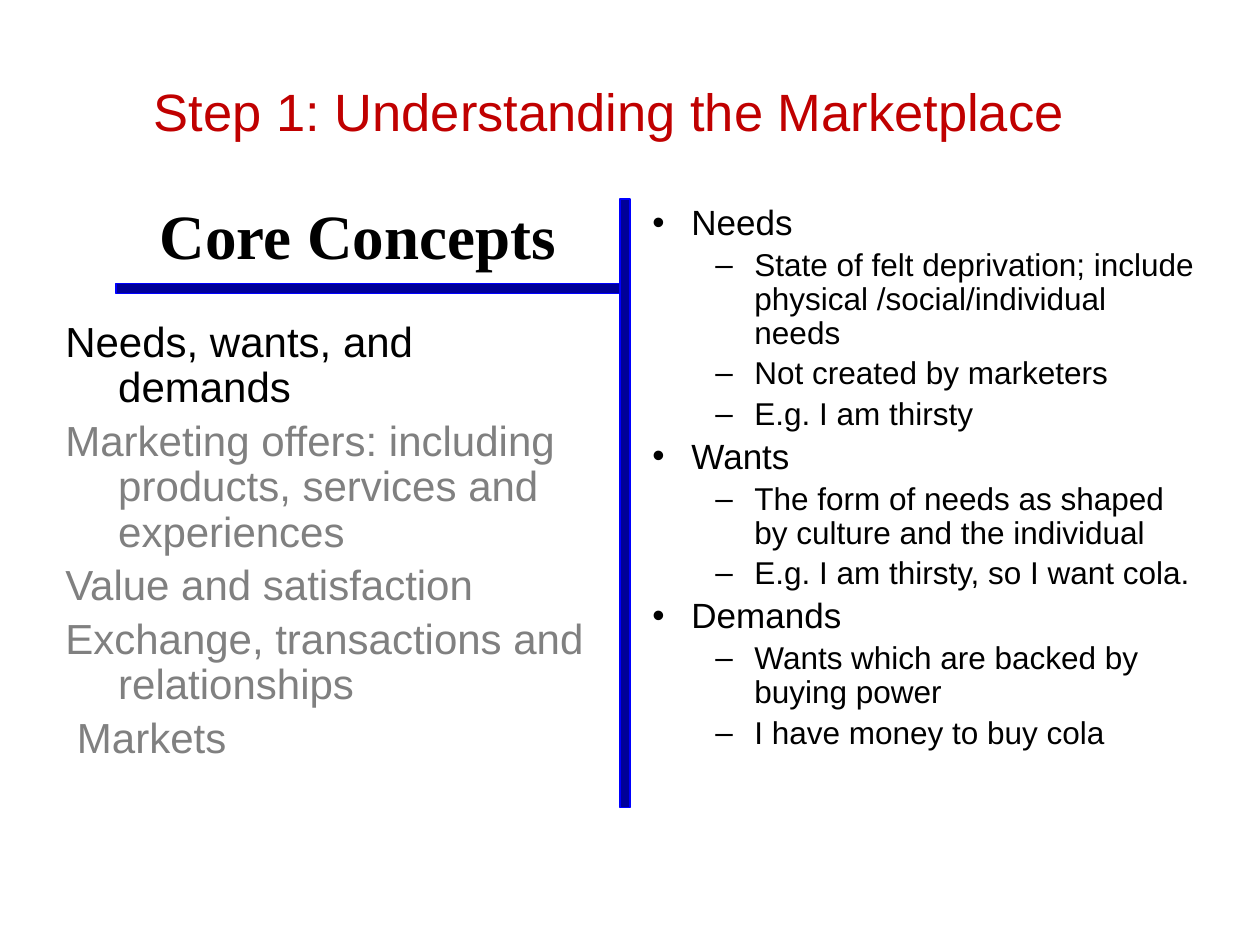
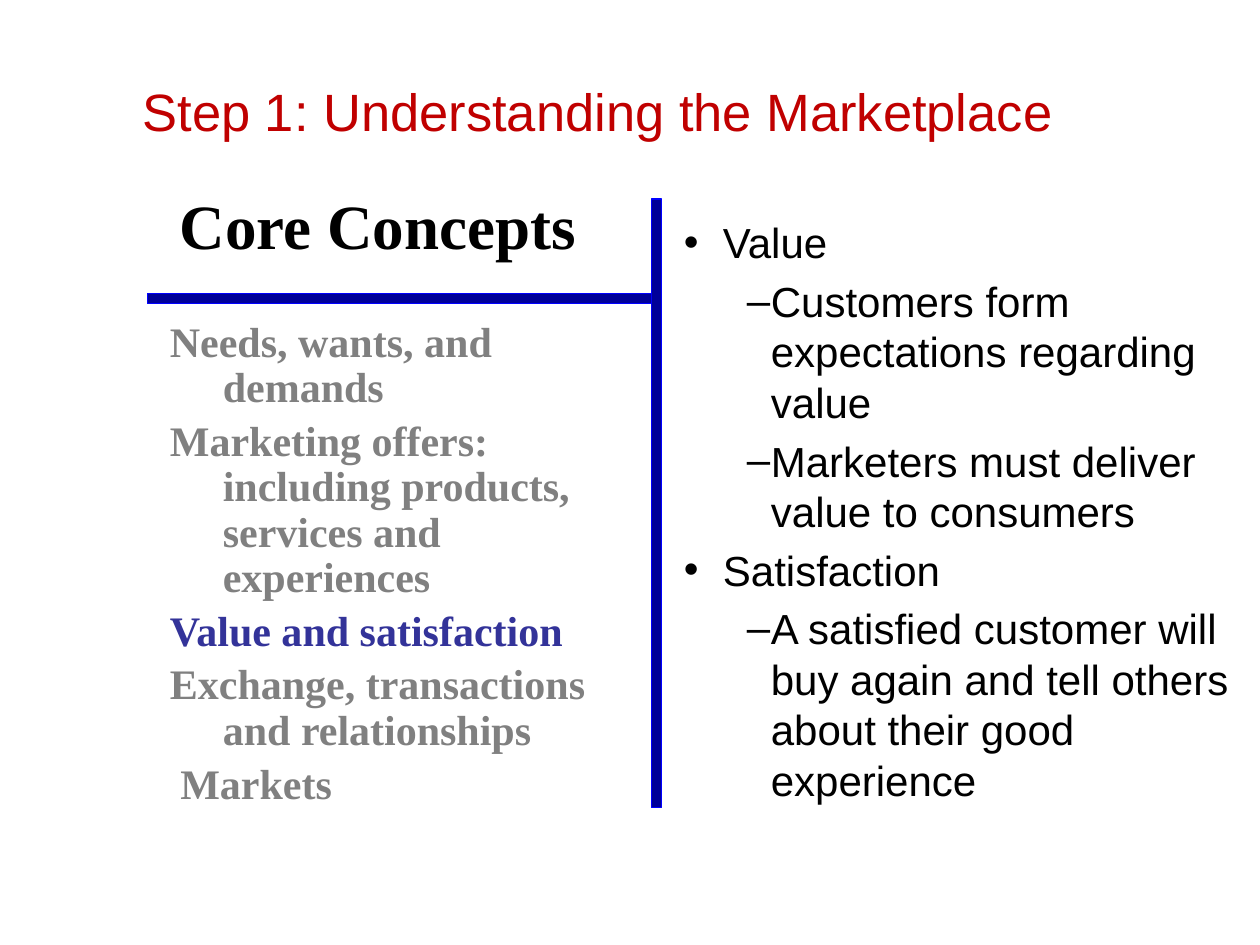
from lxml.etree import SubElement
from pptx import Presentation
from pptx.dml.color import RGBColor
from pptx.enum.shapes import MSO_SHAPE
from pptx.enum.text import MSO_ANCHOR, MSO_AUTO_SIZE, PP_ALIGN
from pptx.oxml.ns import qn
from pptx.util import Inches, Pt

COLORS = {
    "title": "C00000",
    "text": "000000",
    "muted": "808080",
    "highlight": "333399",
    "bar": "000099",
    "bar_edge": "0000FF",
}
SANS, SERIF = "Arial", "Times New Roman"
BAR = 0.08
BULLETS = "•–"
CONCEPTS = [
    "Needs, wants, and demands",
    "Marketing offers: including products, services and experiences",
    "Value and satisfaction",
    "Exchange, transactions and relationships",
    " Markets",
]
NEEDS_WANTS_DEMANDS = [
    (0, "Needs"),
    (1, "State of felt deprivation; include physical /social/individual needs"),
    (1, "Not created by marketers"),
    (1, "E.g. I am thirsty"),
    (0, "Wants"),
    (1, "The form of needs as shaped by culture and the individual"),
    (1, "E.g. I am thirsty, so I want cola."),
    (0, "Demands"),
    (1, "Wants which are backed by buying power"),
    (1, "I have money to buy cola"),
]
VALUE_SATISFACTION = [
    (0, "Value"),
    (1, "Customers form expectations regarding value"),
    (1, "Marketers must deliver value to consumers"),
    (0, "Satisfaction"),
    (1, "A satisfied customer will buy again and tell others about their good experience"),
]


class ConceptDeck:
    """Builds the core concept slides in one shared style."""

    def __init__(self):
        self.deck = Presentation()
        self.deck.slide_width, self.deck.slide_height = Inches(10), Inches(7.5)
        self.page = None

    def add_page(self):
        self.page = self.deck.slides.add_slide(self.deck.slide_layouts[6])

    def frame(self, left, top, width, height):
        box = self.page.shapes.add_textbox(
            Inches(left), Inches(top), Inches(width), Inches(height))
        box.text_frame.word_wrap = True
        return box.text_frame

    def paragraph(self, frame, text, size, color="text", font=SANS, bold=False,
                  spacing=None, before=0.2, margin=0, hanging=0):
        para = frame.paragraphs[0]
        if para.runs:
            para = frame.add_paragraph()
        para.line_spacing = spacing
        para.space_before = Pt(size * before)
        properties = para._p.get_or_add_pPr()
        properties.set("marL", str(Inches(margin)))
        properties.set("indent", str(-Inches(hanging)))
        span = para.add_run()
        span.text = text
        span.font.size, span.font.name, span.font.bold = Pt(size), font, bold
        span.font.color.rgb = RGBColor.from_string(COLORS[color])
        return para

    def title(self, left):
        frame = self.frame(left, 0.25, 7.83, 1.25)
        frame.vertical_anchor = MSO_ANCHOR.MIDDLE
        para = self.paragraph(frame, "Step 1: Understanding the Marketplace", 30,
                              "title", before=0)
        para.alignment = PP_ALIGN.CENTER

    def heading(self, left, top):
        frame = self.frame(left, top, 3.35, 0.64)
        frame.word_wrap = False
        frame.auto_size = MSO_AUTO_SIZE.SHAPE_TO_FIT_TEXT
        self.paragraph(frame, "Core Concepts", 36, font=SERIF, bold=True,
                       spacing=0.9, before=0.3)

    def bar(self, left, top, width, height):
        shape = self.page.shapes.add_shape(
            MSO_SHAPE.RECTANGLE,
            Inches(left), Inches(top), Inches(width), Inches(height))
        shape.shadow.inherit = False
        shape.fill.solid()
        shape.fill.fore_color.rgb = RGBColor.from_string(COLORS["bar"])
        shape.line.color.rgb = RGBColor.from_string(COLORS["bar_edge"])
        shape.line.width = Pt(0.75)

    def divider(self, left, rule_top):
        self.bar(left, 1.58, BAR, 4.83)
        self.bar(left - 4, rule_top, 4, BAR)

    def concepts(self, left, width, active, active_color, font, bold):
        frame = self.frame(left, 2.5, width, 3.67)
        for index, concept in enumerate(CONCEPTS):
            color = active_color if index == active else "muted"
            self.paragraph(frame, concept, 24, color, font, bold, spacing=0.9,
                           margin=0.42, hanging=0.42)

    def details(self, area, items, sizes, indents, spacing=None):
        frame = self.frame(*area)
        for level, text in items:
            margin, hanging = indents[level]
            para = self.paragraph(frame, text, sizes[level], spacing=spacing,
                                  margin=margin, hanging=hanging)
            para.level = level
            properties = para._p.get_or_add_pPr()
            SubElement(properties, qn("a:buFont"), typeface=SANS)
            SubElement(properties, qn("a:buChar"), char=BULLETS[level])


def main():
    show = ConceptDeck()

    show.add_page()
    show.title(0.92)
    show.concepts(0.42, 4.36, 0, "text", SANS, False)
    show.details((5.08, 1.58, 4.54, 5.33), NEEDS_WANTS_DEMANDS, (20, 18),
                 ((0.31, 0.31), (0.81, 0.31)), spacing=0.9)
    show.heading(1.17, 1.58)
    show.divider(4.92, 2.25)

    show.add_page()
    show.details((5.33, 1.67, 4.67, 5.25), VALUE_SATISFACTION, (24, 24),
                 ((0.31, 0.31), (0.69, 0.19)))
    show.heading(1.33, 1.5)
    show.divider(5.17, 2.33)
    show.concepts(1.25, 3.75, 2, "highlight", SERIF, True)
    show.title(0.83)

    show.deck.save("out.pptx")


if __name__ == "__main__":
    main()
